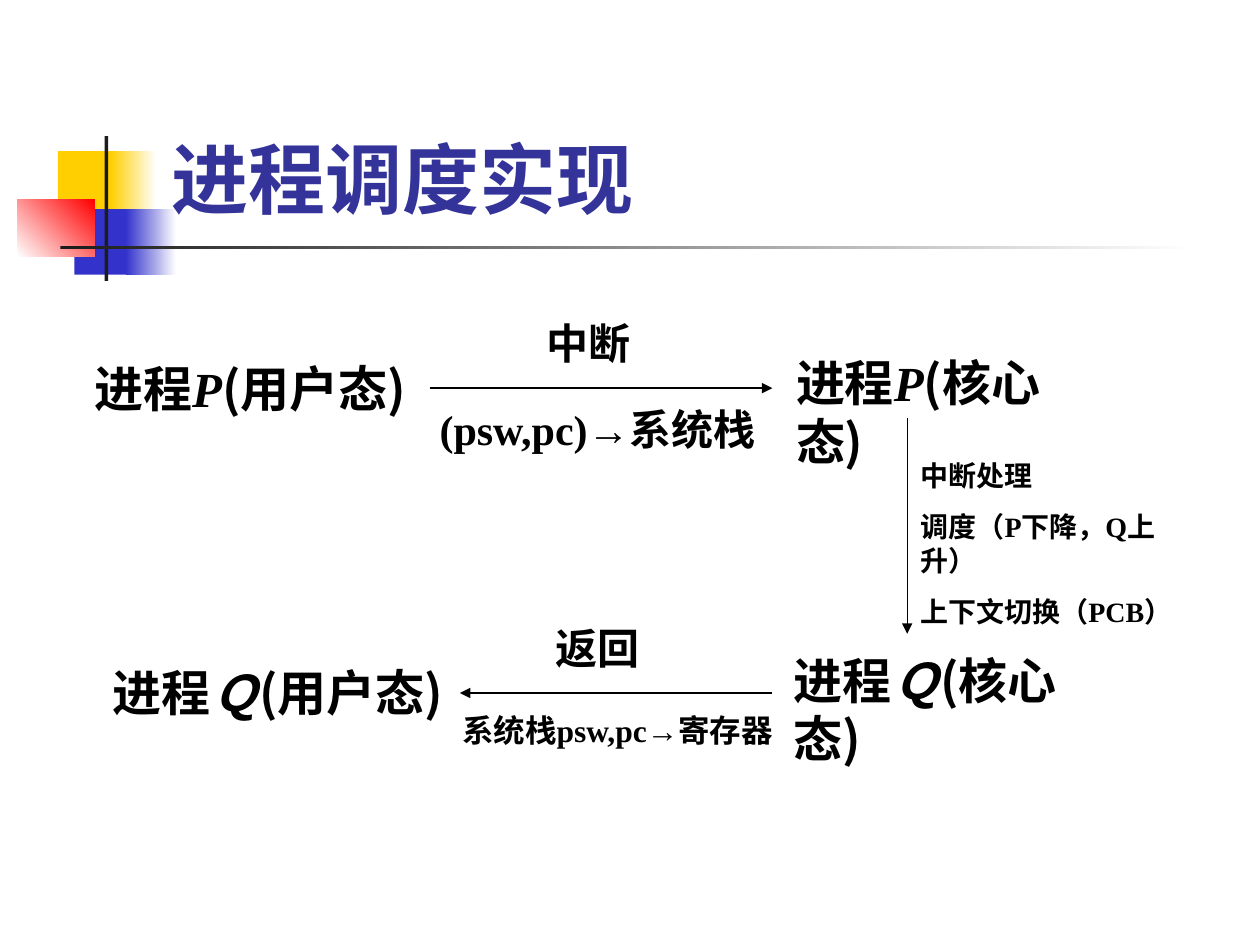
from lxml.etree import SubElement
from pptx import Presentation
from pptx.dml.color import RGBColor
from pptx.enum.shapes import MSO_CONNECTOR, MSO_SHAPE
from pptx.enum.text import MSO_ANCHOR, MSO_AUTO_SIZE, PP_ALIGN
from pptx.oxml.ns import qn
from pptx.util import Inches, Pt

COLORS = {
    "yellow": "FFCF01",
    "blue": "3333CC",
    "red": "FF0000",
    "white": "FFFFFF",
    "dark": "1C1C1C",
    "title": "333399",
    "text": "000000",
}
SERIF = "Times New Roman"
SANS = "Noto Sans CJK SC"


def color(name):
    """Look up a palette colour."""
    return RGBColor.from_string(COLORS[name])


def add_span(para, text, size=24, font=SERIF, fill="text", italic=False):
    """Append a bold run with the given format."""
    span = para.add_run()
    span.text = text
    span.font.size = Pt(size)
    span.font.name = font
    span.font.bold = True
    span.font.italic = italic
    span.font.color.rgb = color(fill)
    east_asian = SubElement(span.font._element, qn("a:ea"))
    east_asian.set("typeface", SANS)


def add_text(page, area, lines, align=PP_ALIGN.LEFT, gap=0, **style):
    """Place a wrapped text box whose lines are lists of (text, format) spans."""
    box = page.shapes.add_textbox(*map(Inches, area))
    frame = box.text_frame
    frame.word_wrap = True
    for index, spans in enumerate(lines):
        para = frame.add_paragraph() if index else frame.paragraphs[0]
        para.alignment = align
        para.space_before = Pt(gap if index else 0)
        for text, extra in spans:
            add_span(para, text, **{**style, **extra})


def add_block(page, area, start, end=None, angle=0):
    """Draw a borderless rectangle, solid or fading from start to end."""
    block = page.shapes.add_shape(MSO_SHAPE.RECTANGLE, *map(Inches, area))
    block.shadow.inherit = False
    block.line.fill.background()
    if end is None:
        block.fill.solid()
        block.fill.fore_color.rgb = color(start)
        return
    block.fill.gradient()
    block.fill.gradient_angle = angle
    for stop, name in zip(block.fill.gradient_stops, (start, end)):
        stop.color.rgb = color(name)


def add_arrow(page, start, end):
    """Draw a thin line with a triangle head at its end."""
    arrow = page.shapes.add_connector(
        MSO_CONNECTOR.STRAIGHT, *map(Inches, (*start, *end)))
    arrow.line.color.rgb = color("text")
    arrow.line.width = Pt(0.75)
    SubElement(arrow.line._get_or_add_ln(), qn("a:tailEnd")).set("type", "triangle")
    SubElement(arrow._element.spPr, qn("a:effectLst"))


def add_decoration(page, left, top):
    """Draw the coloured squares and crossing bars beside the title."""
    add_block(page, (left + 0.32, top + 0.12, 0.48, 0.52), "yellow")
    add_block(page, (left + 0.74, top + 0.12, 0.36, 0.52), "yellow", "white")
    add_block(page, (left + 0.45, top + 0.58, 0.46, 0.52), "blue")
    add_block(page, (left + 0.86, top + 0.58, 0.4, 0.52), "blue", "white")
    add_block(page, (left, top + 0.5, 0.61, 0.46), "white", "red", angle=45)
    add_block(page, (left + 0.69, top, 0.03, 1.15), "dark")
    add_block(page, (left + 0.34, top + 0.87, 9, 0.03), "dark", "white")


def add_title(page, area, text):
    """Move, fill and format the title placeholder, above the decoration."""
    title = page.shapes.title
    title.left, title.top, title.width, title.height = map(Inches, area)
    frame = title.text_frame
    frame.auto_size = MSO_AUTO_SIZE.NONE
    frame.vertical_anchor = MSO_ANCHOR.BOTTOM
    para = frame.paragraphs[0]
    para.alignment = PP_ALIGN.LEFT
    add_span(para, text, size=44, font="Cabin", fill="title")
    page.shapes[-1].element.addnext(title.element)


def add_process(page, area, name, mode, align=PP_ALIGN.LEFT):
    """Label one process state."""
    spans = [("进程", {}), (name, {"font": SERIF, "italic": True}), (f"({mode})", {})]
    add_text(page, area, [spans], align=align, size=28, font=SANS)


def add_switch(page, start, end, notes):
    """Draw one transition with its notes, given as (area, size, lines)."""
    add_arrow(page, start, end)
    for area, size, lines in notes:
        add_text(page, area, [[(line, {})] for line in lines], gap=10, size=size)


def main():
    """Build the process scheduling slide."""
    deck = Presentation()
    deck.slide_width, deck.slide_height = Inches(10), Inches(7.5)
    page = deck.slides.add_slide(deck.slide_layouts[5])
    add_decoration(page, 0.14, 1.08)
    add_title(page, (1.26, 0.23, 8.52, 1.6), "进程调度实现")

    add_process(page, (0.65, 2.8, 2.77, 1.04), "P", "用户态")
    add_process(page, (6.22, 2.75, 2.66, 1.04), "P", "核心态")
    add_process(page, (6.2, 5.11, 2.81, 1.04), "Ｑ", "核心态")
    add_process(page, (0.76, 5.21, 2.89, 1.04), "Ｑ", "用户态", PP_ALIGN.CENTER)

    add_switch(page, (3.41, 3.08), (6.13, 3.08), [
        ((4.24, 2.47, 0.97, 0.5), 24, ["中断"]),
        ((3.39, 3.15, 2.72, 0.9), 24, ["(psw,pc)→系统栈"]),
    ])
    add_switch(page, (7.2, 3.32), (7.2, 5.03), [
        ((7.21, 3.59, 2.34, 1.45), 16,
         ["中断处理", "调度（P下降，Q上升）", "上下文切换（PCB）"]),
    ])
    add_switch(page, (6.13, 5.5), (3.65, 5.5), [
        ((4.31, 4.89, 0.99, 0.5), 24, ["返回"]),
        ((3.57, 5.59, 2.78, 0.7), 18, ["系统栈psw,pc→寄存器"]),
    ])
    deck.save("out.pptx")


if __name__ == "__main__":
    main()
